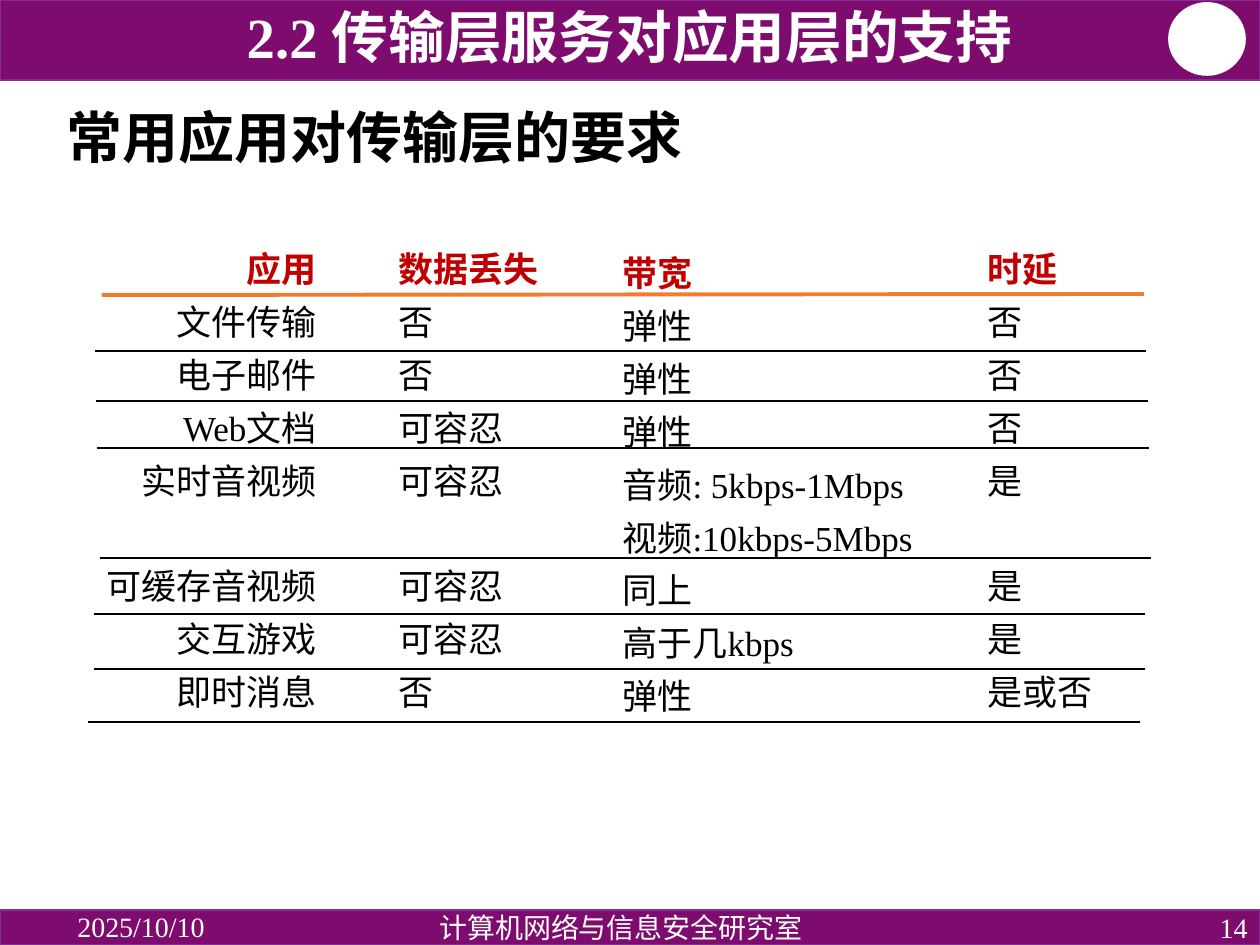
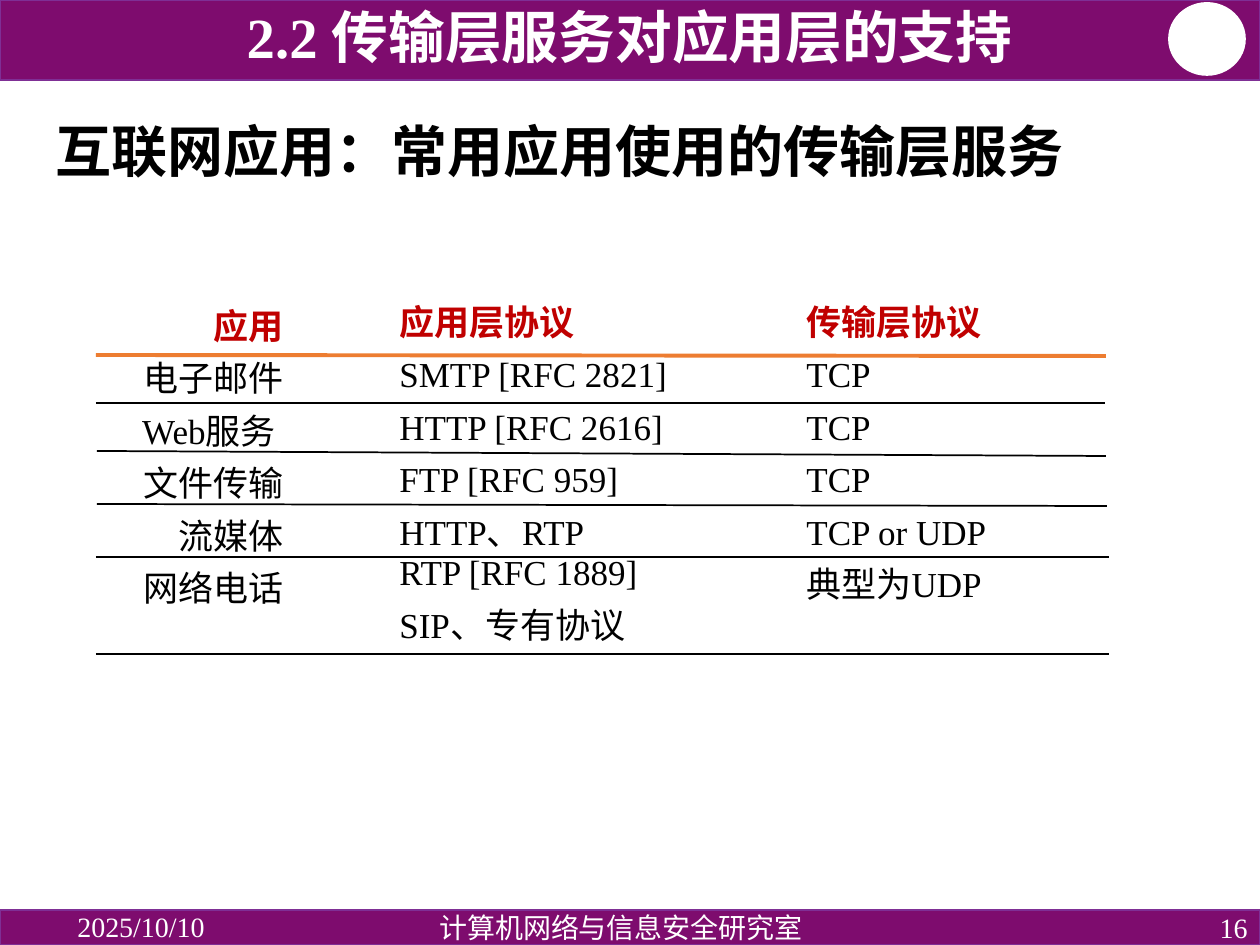
from lxml import etree
from pptx import Presentation
from pptx.dml.color import RGBColor
from pptx.enum.lang import MSO_LANGUAGE_ID as LANG
from pptx.enum.shapes import MSO_CONNECTOR as CONN, MSO_SHAPE as SHAPE
from pptx.enum.text import MSO_ANCHOR as ANCHOR, PP_ALIGN as ALIGN
from pptx.oxml.ns import qn
from pptx.util import Emu, Pt

PURPLE = RGBColor(0x7E, 0x0C, 0x6E)
EDGE = RGBColor(0x7F, 0x2F, 0x95)
WHITE = RGBColor(0xFF, 0xFF, 0xFF)
BLACK = RGBColor(0, 0, 0)
RED = RGBColor(0xC0, 0, 0)
ORANGE = RGBColor(0xED, 0x7D, 0x31)
SANS, SERIF, ARIAL = "Noto Sans CJK SC", "Times New Roman", "Arial"
LINE_PT = 23


def px(*lengths):
    """Turn lengths at 126 px to the inch into EMU."""
    return [Emu(round(v * 914400 / 126)) for v in lengths]


def add_text(s, box, lines, size, font, color, bold=False,
             align=ALIGN.LEFT, anchor=ANCHOR.MIDDLE):
    """Add a text box with one paragraph a line and return its paragraphs."""
    tf = s.shapes.add_textbox(*px(*box)).text_frame
    tf.word_wrap = True
    tf.vertical_anchor = anchor
    for i, line in enumerate(lines):
        p = tf.add_paragraph() if i else tf.paragraphs[0]
        p.text = line
        p.alignment = align
        for r in p.runs:
            r.font.size, r.font.name, r.font.bold = Pt(size), font, bold
            r.font.color.rgb = color
            r.font.language_id = LANG.SIMPLIFIED_CHINESE
    return tf.paragraphs


# Each column: box, alignment, body font, entries (None leaves a row free)
# Each rule: x1, y1, x2, y2, the first one being the header rule
slides = [
    dict(
        number="14", heading="常用应用对传输层的要求", heading_box=(54, 96, 1126, 89),
        row_gap=7.25,
        columns=[
            ((76, 243, 253, 479), ALIGN.RIGHT, SERIF,
             ["应用", "文件传输", "电子邮件", "Web文档", "实时音视频", None,
              "可缓存音视频", "交互游戏", "即时消息"]),
            ((386, 243, 190, 479), ALIGN.LEFT, ARIAL,
             ["数据丢失", "否", "否", "可容忍", "可容忍", None,
              "可容忍", "可容忍", "否"]),
            ((610, 247, 355, 479), ALIGN.LEFT, SERIF,
             ["带宽", "弹性", "弹性", "弹性", "音频: 5kbps-1Mbps",
              "视频:10kbps-5Mbps", "同上", "高于几kbps", "弹性"]),
            ((975, 243, 169, 479), ALIGN.LEFT, ARIAL,
             ["时延", "否", "否", "否", "是", None, "是", "是", "是或否"]),
        ],
        rules=[(102, 295, 1144, 294), (95, 351, 1146, 351), (96, 401, 1148, 401),
               (97, 448, 1149, 448), (100, 558, 1151, 558), (94, 614, 1145, 614),
               (94, 669, 1145, 669), (88, 722, 1140, 722)],
    ),
    dict(
        number="16", heading="互联网应用：常用应用使用的传输层服务",
        heading_box=(43, 115, 1187, 79),
        row_gap=7,
        columns=[
            ((97, 300, 199, 369), ALIGN.RIGHT, SERIF,
             ["应用", "电子邮件", "Web服务 ", "文件传输", "流媒体", "网络电话"]),
            ((387, 296, 330, 369), ALIGN.LEFT, SERIF,
             ["应用层协议", "SMTP [RFC 2821]", "HTTP [RFC 2616]", "FTP [RFC 959]",
              "HTTP、RTP\vRTP [RFC 1889]", "SIP、专有协议"]),
            ((794, 296, 362, 369), ALIGN.LEFT, SERIF,
             ["传输层协议", "TCP", "TCP", "TCP", "TCP or UDP", "典型为UDP"]),
        ],
        rules=[(96, 355, 1106, 356), (96, 403, 1105, 403), (97, 451, 1106, 456),
               (97, 504, 1107, 506), (96, 557, 1109, 557), (96, 654, 1109, 654)],
    ),
]

prs = Presentation()
prs.slide_width, prs.slide_height = px(1260, 945)

for page in slides:
    s = prs.slides.add_slide(prs.slide_layouts[6])

    # Bands and badge
    for kind, box, fill, edge in [
        (SHAPE.RECTANGLE, (0, 0, 1260, 80), PURPLE, EDGE),
        (SHAPE.OVAL, (1169, 3, 76, 72), WHITE, WHITE),
        (SHAPE.RECTANGLE, (0, 910, 1260, 35), PURPLE, EDGE),
    ]:
        sp = s.shapes.add_shape(kind, *px(*box))
        sp.shadow.inherit = False
        sp.fill.solid()
        sp.fill.fore_color.rgb = fill
        sp.line.color.rgb = edge
        sp.line.width = Pt(1)

    # Footer
    for box, text, align in [
        ((65, 910, 284, 33), "2025/10/10", ALIGN.LEFT),
        ((339, 910, 564, 35), "计算机网络与信息安全研究室", ALIGN.CENTER),
        ((976, 910, 284, 35), page["number"], ALIGN.RIGHT),
    ]:
        add_text(s, box, [text], 16, SERIF, WHITE, align=align)

    # Section title and heading
    p = add_text(s, (91, 5, 1077, 71), ["2.2 传输层服务对应用层的支持"], 32.4, SERIF,
                 WHITE, True, ALIGN.CENTER, ANCHOR.BOTTOM)[0]
    p.line_spacing = 0.8
    p = add_text(s, page["heading_box"], [page["heading"]], 32, SANS, BLACK, True)[0]
    p.line_spacing = 0.9

    # Columns: a free row becomes extra space before the next entry
    for box, align, font, entries in page["columns"]:
        lines = [e for e in entries if e]
        rows = [i for i, e in enumerate(entries) if e]
        paragraphs = add_text(s, box, lines, 20, font, BLACK, False, align, ANCHOR.TOP)
        for i, p in enumerate(paragraphs):
            p.line_spacing = Pt(LINE_PT)
            if i:
                steps = rows[i] - rows[i - 1]
                p.space_before = Pt(steps * (LINE_PT + page["row_gap"]) - LINE_PT)
        head = paragraphs[0].runs[0].font
        head.name, head.bold, head.color.rgb = SANS, True, RED

    # Rules between rows
    for i, ends in enumerate(page["rules"]):
        ln = s.shapes.add_connector(CONN.STRAIGHT, *px(*ends))
        ln.line.color.rgb = BLACK if i else ORANGE
        ln.line.width = Pt(1 if i else 2.25)
        etree.SubElement(ln._element.spPr, qn("a:effectLst"))

prs.save("out.pptx")
